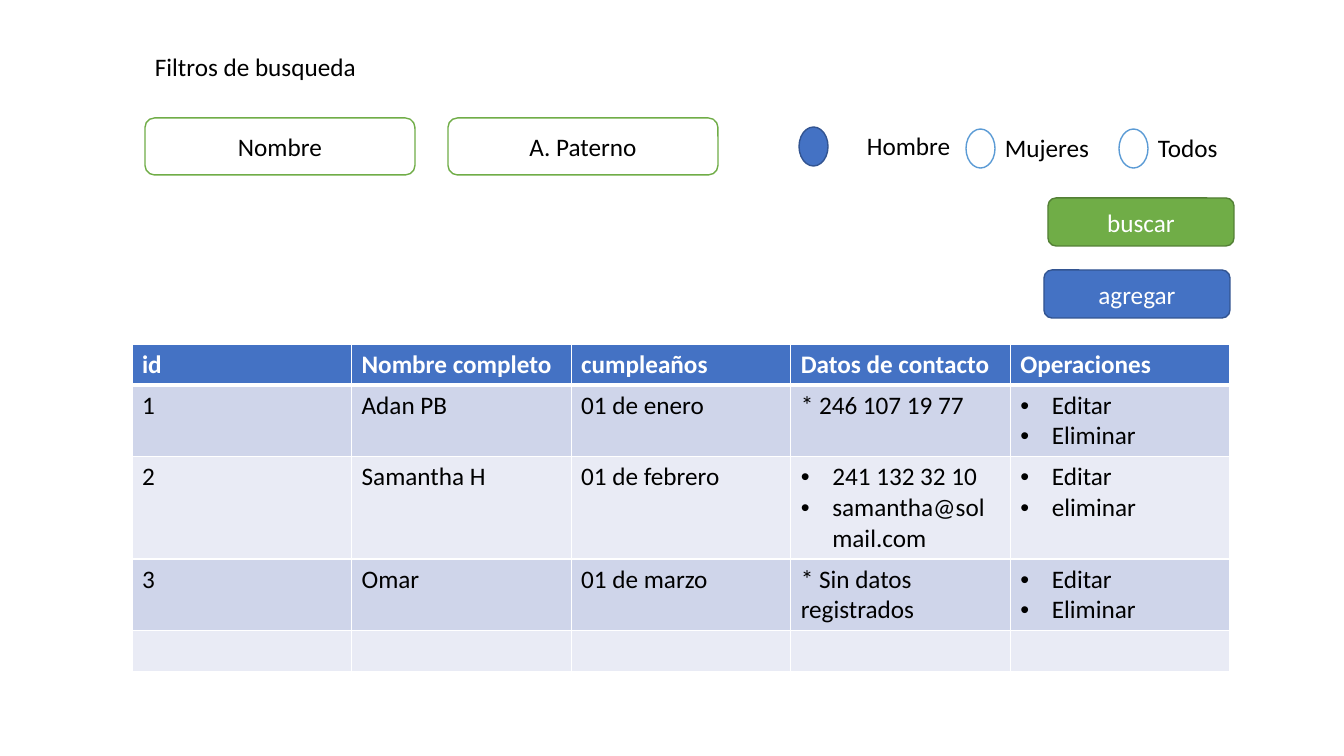
from lxml.etree import SubElement
from pptx import Presentation
from pptx.dml.color import RGBColor
from pptx.enum.shapes import MSO_SHAPE
from pptx.enum.text import MSO_ANCHOR, MSO_AUTO_SIZE, PP_ALIGN
from pptx.oxml.ns import qn
from pptx.util import Pt

SCALE = 914400 / 100.8
COLORS = {
    "white": "FFFFFF",
    "black": "000000",
    "blue": "4472C4",
    "dark_blue": "325491",
    "light_blue": "5B9BD5",
    "green": "70AD47",
    "dark_green": "538035",
    "band_dark": "CFD5EA",
    "band_light": "E9EBF5",
}


def px(*pixels):
    return [round(pixel * SCALE) for pixel in pixels]


def write_text(frame, text, color="black", bold=False, align=PP_ALIGN.LEFT, bullets=False):
    for index, line in enumerate(text.split("\n")):
        paragraph = frame.paragraphs[0] if index == 0 else frame.add_paragraph()
        paragraph.alignment = align
        run = paragraph.add_run()
        run.text = line
        run.font.name = "Calibri"
        run.font.size = Pt(18)
        run.font.bold = bold
        run.font.color.rgb = RGBColor.from_string(COLORS[color])
        if bullets:
            properties = paragraph._p.get_or_add_pPr()
            indent = px(31.5)[0]
            properties.set("marL", str(indent))
            properties.set("indent", str(-indent))
            SubElement(properties, qn("a:buFont"), typeface="Arial")
            SubElement(properties, qn("a:buChar"), char="•")


presentation = Presentation()
presentation.slide_width, presentation.slide_height = px(1344, 756)
slide = presentation.slides.add_slide(presentation.slide_layouts[6])

rows = [
    ["id", "Nombre completo", "cumpleaños", "Datos de contacto", "Operaciones"],
    ["1", "Adan PB", "01 de enero", "* 246 107 19 77", "Editar\nEliminar"],
    ["2", "Samantha H", "01 de febrero", "241 132 32 10\nsamantha@solmail.com", "Editar\neliminar"],
    ["3", "Omar", "01 de marzo", "* Sin datos registrados", "Editar\nEliminar"],
    [""] * 5,
]
table = slide.shapes.add_table(5, 5, *px(132, 344, 1098, 205)).table
for row_index, row in enumerate(rows):
    header = row_index == 0
    fill_color = "blue" if header else ("band_light", "band_dark")[row_index % 2]
    for column_index, text in enumerate(row):
        cell = table.cell(row_index, column_index)
        if text:
            write_text(cell.text_frame, text, color="white" if header else "black",
                       bold=header, bullets="\n" in text)
        for side in ("lnL", "lnR", "lnT", "lnB"):
            thick = (row_index, side) in ((0, "lnB"), (1, "lnT"))
            border = SubElement(cell._tc.get_or_add_tcPr(), qn(f"a:{side}"),
                                w=str(Pt(3 if thick else 1)))
            border_fill = SubElement(border, qn("a:solidFill"))
            SubElement(border_fill, qn("a:srgbClr"), val=COLORS["white"])
        cell.fill.solid()
        cell.fill.fore_color.rgb = RGBColor.from_string(COLORS[fill_color])

box, circle = MSO_SHAPE.ROUNDED_RECTANGLE, MSO_SHAPE.OVAL
controls = [
    (box, 1044, 270, 186, 48, "blue", "dark_blue", "agregar", "white"),
    (box, 145, 118, 270, 57, "white", "green", "Nombre", "black"),
    (box, 448, 118, 270, 57, "white", "green", "A. Paterno", "black"),
    (circle, 799, 127, 29, 39, "blue", "dark_blue", "", "white"),
    (circle, 966, 129, 29, 39, "white", "light_blue", "", "black"),
    (circle, 1119, 129, 29, 39, "white", "light_blue", "", "black"),
    (box, 1048, 198, 186, 48, "green", "dark_green", "buscar", "white"),
]
for preset, left, top, width, height, fill_color, line_color, text, text_color in controls:
    shape = slide.shapes.add_shape(preset, *px(left, top, width, height))
    shape.shadow.inherit = False
    shape.fill.solid()
    shape.fill.fore_color.rgb = RGBColor.from_string(COLORS[fill_color])
    shape.line.color.rgb = RGBColor.from_string(COLORS[line_color])
    shape.line.width = Pt(1)
    if text:
        shape.text_frame.vertical_anchor = MSO_ANCHOR.MIDDLE
        write_text(shape.text_frame, text, color=text_color, align=PP_ALIGN.CENTER)

labels = [
    (145, 46, 224, "Filtros de busqueda"),
    (995, 127, 106, "Mujeres"),
    (857, 125, 105, "Hombre"),
    (1148, 127, 81, "Todos"),
]
for left, top, width, text in labels:
    label = slide.shapes.add_textbox(*px(left, top, width, 40))
    label.text_frame.word_wrap = False
    label.text_frame.auto_size = MSO_AUTO_SIZE.SHAPE_TO_FIT_TEXT
    write_text(label.text_frame, text)

presentation.save("out.pptx")
